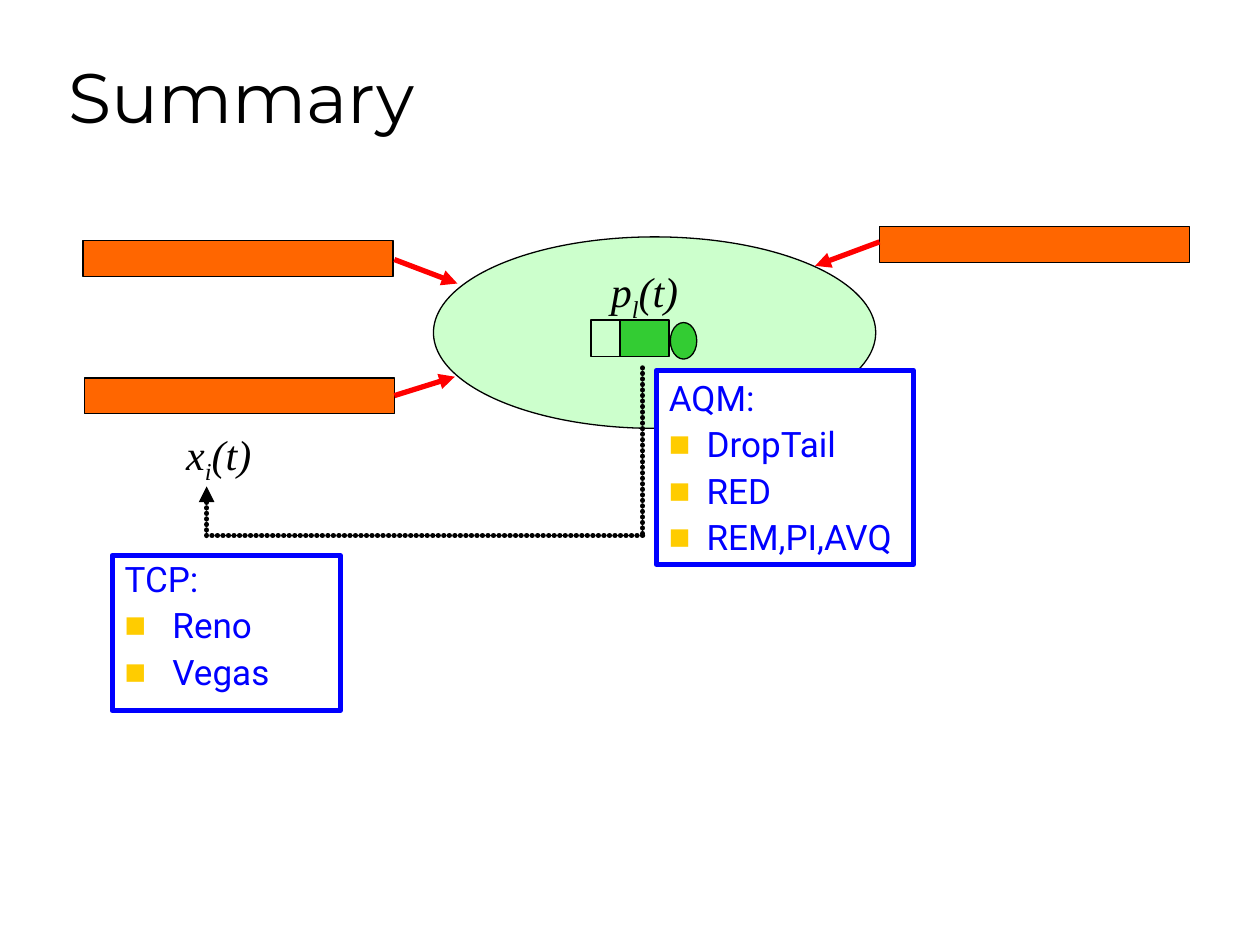
import pptx
import pptx.util
import pptx.dml.color
import pptx.enum.shapes
import pptx.enum.text
import pptx.oxml.ns
from lxml import etree

COLORS = {
    "ink": "000000", "cloud": "CCFFCC", "queue": "33CC33", "source": "FF6600",
    "flow": "FF0000", "frame": "0000FF", "bullet": "FFCC00", "paper": "FFFFFF",
}
SHAPES = pptx.enum.shapes.MSO_SHAPE
ANCHORS = pptx.enum.text.MSO_ANCHOR
qn = pptx.oxml.ns.qn

deck = pptx.Presentation()
deck.slide_width = pptx.util.Inches(10)
deck.slide_height = pptx.util.Inches(7.5)
column = deck.slide_width / 100
row = deck.slide_height / 75
page = deck.slides.add_slide(deck.slide_layouts[5])


def grid(*places):
    return [round(place * (row if index % 2 else column)) for index, place in enumerate(places)]


def add_block(kind, places, fill, line="ink", width=0.75):
    block = page.shapes.add_shape(kind, *grid(*places))
    block.shadow.inherit = False
    if fill:
        block.fill.solid()
        block.fill.fore_color.rgb = pptx.dml.color.RGBColor.from_string(COLORS[fill])
    else:
        block.fill.background()
    block.line.color.rgb = pptx.dml.color.RGBColor.from_string(COLORS[line])
    block.line.width = pptx.util.Pt(width)
    return block


title = page.shapes.title
title.left, title.top, title.width, title.height = grid(4.4, 2.5, 85, 8.9)
title.text_frame.text = "Summary"
title.text_frame.vertical_anchor = ANCHORS.BOTTOM
heading = title.text_frame.paragraphs[0]
heading.alignment = pptx.enum.text.PP_ALIGN.LEFT
heading.font.size = pptx.util.Pt(40)
heading.font.name = "Montserrat"
heading.font.color.rgb = pptx.dml.color.RGBColor.from_string(COLORS["ink"])

add_block(SHAPES.OVAL, (34.4, 18.8, 35.1, 15.2), "cloud")
for left, top in ((6.6, 19.1), (69.8, 18), (6.7, 30)):
    add_block(SHAPES.RECTANGLE, (left, top, 24.6, 2.85), "source")

add_block(SHAPES.RECTANGLE, (46.9, 25.4, 6.1, 2.9), None)
add_block(SHAPES.OVAL, (53.2, 25.6, 2.1, 2.9), "queue")
add_block(SHAPES.RECTANGLE, (49.2, 25.4, 3.9, 2.9), "queue")

for letter, index, left, top in (("x", "i", 13.8, 33.5), ("p", "l", 47.5, 20.6)):
    box = page.shapes.add_textbox(*grid(left, top, 8, 5.6))
    box.text_frame.word_wrap = False
    para = box.text_frame.paragraphs[0]
    for part in (letter, index, "(t)"):
        span = para.add_run()
        span.text = part
        span.font.size = pptx.util.Pt(24)
        span.font.name = "Times New Roman"
        span.font.italic = True
        span.font.color.rgb = pptx.dml.color.RGBColor.from_string(COLORS["ink"])
    para.runs[1].font._element.set("baseline", "-25000")

arrows = [
    ((31.3, 20.6, 36.3, 22.5), "flow", True),
    ((69.8, 19.2, 64.7, 21.1), "flow", True),
    ((31.3, 31.4, 36.1, 29.9), "flow", True),
    ((51, 29.2, 51, 42.5), "ink", False),
    ((51, 42.5, 16.4, 42.5), "ink", False),
    ((16.4, 42.5, 16.4, 38.6), "ink", True),
]
for places, color, pointed in arrows:
    arrow = page.shapes.add_connector(pptx.enum.shapes.MSO_CONNECTOR.STRAIGHT, *grid(*places))
    arrow.line.color.rgb = pptx.dml.color.RGBColor.from_string(COLORS[color])
    arrow.line.width = pptx.util.Pt(3)
    outline = arrow.line._get_or_add_ln()
    if color == "ink":
        outline.set("cap", "rnd")
        dots = etree.SubElement(outline, qn("a:custDash"))
        etree.SubElement(dots, qn("a:ds"), d="100000", sp="5000")
    if pointed:
        etree.SubElement(outline, qn("a:tailEnd"), type="triangle")
    etree.SubElement(arrow._element.spPr, qn("a:effectLst"))

panels = [
    ((8.9, 44.1, 18.1, 12.3), None, 3.8, True, ("TCP:", "Reno", "Vegas")),
    ((52.1, 29.4, 20.4, 15.4), "paper", 3, False, ("AQM:", "DropTail", "RED", "REM,PI,AVQ")),
]
for places, fill, indent, wrapped, lines in panels:
    panel = add_block(SHAPES.RECTANGLE, places, fill, "frame", 3)
    frame = panel.text_frame
    frame.word_wrap = wrapped
    frame.vertical_anchor = ANCHORS.TOP
    frame.text = "\n".join(lines)
    for number, para in enumerate(frame.paragraphs):
        para.alignment = pptx.enum.text.PP_ALIGN.LEFT
        if number:
            para.space_before = pptx.util.Pt(5)
        if number or wrapped:
            para.line_spacing = 0.9
        if number:
            settings = para._p.get_or_add_pPr()
            settings.set("marL", str(round(indent * column)))
            settings.set("indent", str(-round(indent * column)))
            tint = etree.SubElement(settings, qn("a:buClr"))
            etree.SubElement(tint, qn("a:srgbClr"), val=COLORS["bullet"])
            etree.SubElement(settings, qn("a:buSzPct"), val="65000")
            etree.SubElement(settings, qn("a:buFont"), typeface="Roboto")
            etree.SubElement(settings, qn("a:buChar"), char="■")
        para.font.size = pptx.util.Pt(20)
        para.font.name = "Roboto"
        para.font.color.rgb = pptx.dml.color.RGBColor.from_string(COLORS["frame"])

deck.save("out.pptx")
